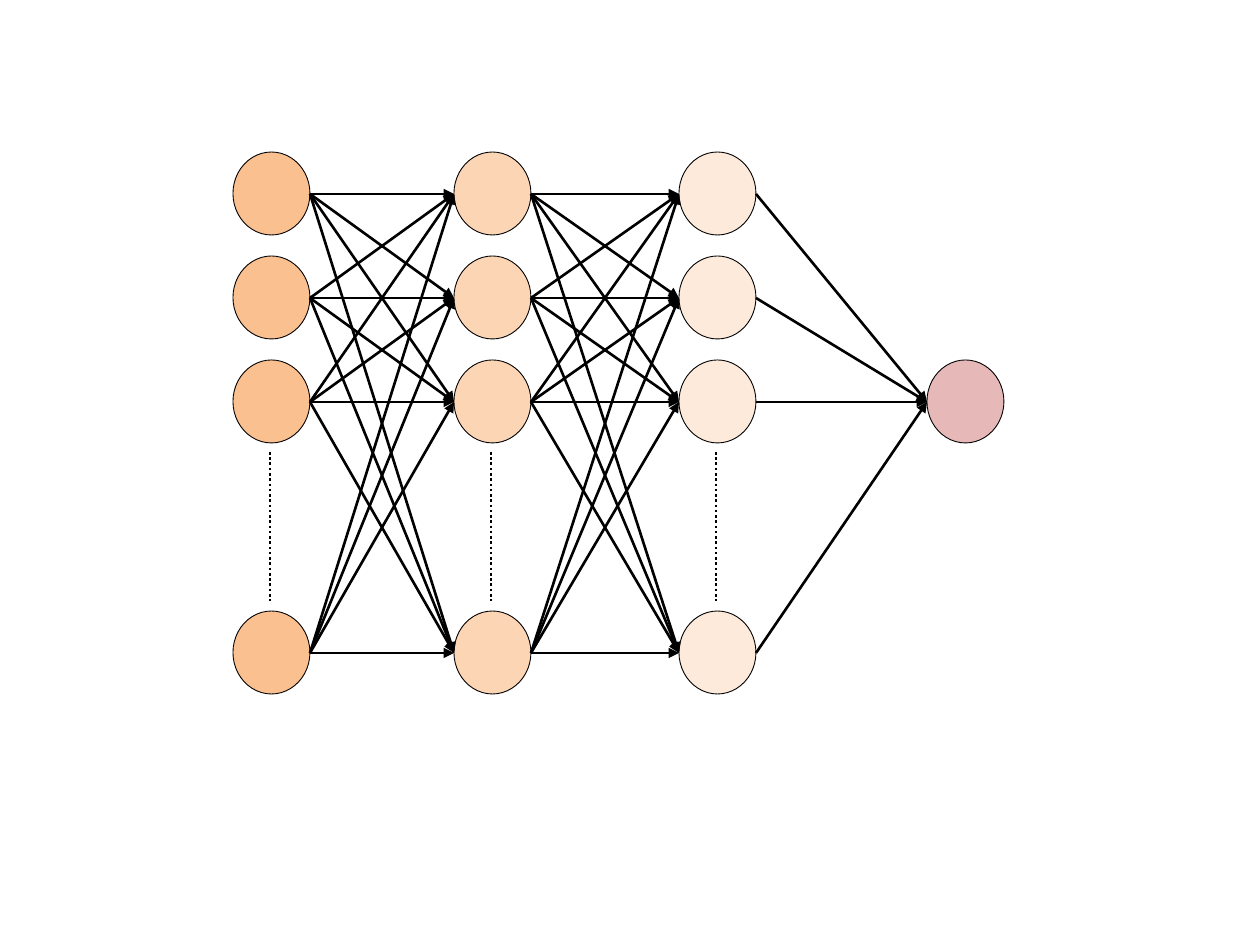
"""Build a slide with a fully connected neural network."""
from itertools import pairwise, product

from lxml import etree
from pptx import Presentation
from pptx import util as u
from pptx.dml.color import RGBColor
from pptx.enum import dml, shapes
from pptx.oxml.ns import qn

SCALE = 914400 / 126
COLORS = {
    "line": "000000",
    "input": "FAC090",
    "hidden": "FCD5B5",
    "last_hidden": "FDEADA",
    "output": "E6B9B8",
}
NODE_WIDTH, NODE_HEIGHT = 77, 83
ROW_TOPS = [152, 256, 360, 611]
LAYERS = [
    ("input", 233, ROW_TOPS),
    ("hidden", 454, ROW_TOPS),
    ("last_hidden", 679, ROW_TOPS),
    ("output", 927, ROW_TOPS[2:3]),
]
DOTS_TOP, DOTS_BOTTOM = 452, 601


def px(value):
    """Turn pixels into EMU."""
    return u.Emu(round(value * SCALE))


def color(name):
    """Look up a named colour."""
    return RGBColor.from_string(COLORS[name])


def add_node(page, left, top, fill):
    """Draw one neuron."""
    node = page.shapes.add_shape(
        shapes.MSO_SHAPE.OVAL, px(left), px(top), px(NODE_WIDTH), px(NODE_HEIGHT))
    node.shadow.inherit = False
    node.fill.solid()
    node.fill.fore_color.rgb = color(fill)
    node.line.color.rgb = color("line")
    node.line.width = u.Pt(0.5)


def add_line(page, start, end, dash=None, arrow=False):
    """Draw a straight line, optionally dashed or with an arrowhead."""
    line = page.shapes.add_connector(
        shapes.MSO_CONNECTOR.STRAIGHT, *map(px, (*start, *end)))
    line.line.color.rgb = color("line")
    line.line.width = u.Pt(1.5)
    if dash:
        line.line.dash_style = dash
    properties = line._element.spPr
    if arrow:
        outline = properties.find(qn("a:ln"))
        etree.SubElement(outline, qn("a:tailEnd"), type="triangle")
    etree.SubElement(properties, qn("a:effectLst"))


def add_layer(page, name, left, tops):
    """Draw a column of neurons, with dots for those left out."""
    for top in tops:
        add_node(page, left, top, name)
    if len(tops) > 1:
        middle = left + NODE_WIDTH // 2 - 1
        add_line(page, (middle, DOTS_TOP), (middle, DOTS_BOTTOM),
                 dash=dml.MSO_LINE.ROUND_DOT)


def connect_layers(page, source, target):
    """Draw an arrow from each neuron of one layer to each of the next."""
    _, source_left, source_tops = source
    _, target_left, target_tops = target
    half = round(NODE_HEIGHT / 2)
    for start, end in product(source_tops, target_tops):
        add_line(page, (source_left + NODE_WIDTH, start + half),
                 (target_left, end + half), arrow=True)


def main():
    """Build and save the deck."""
    deck = Presentation()
    deck.slide_width, deck.slide_height = u.Inches(10), u.Inches(7.5)
    page = deck.slides.add_slide(deck.slide_layouts[6])
    for layer in LAYERS:
        add_layer(page, *layer)
    for source, target in pairwise(LAYERS):
        connect_layers(page, source, target)
    deck.save("out.pptx")


main()
